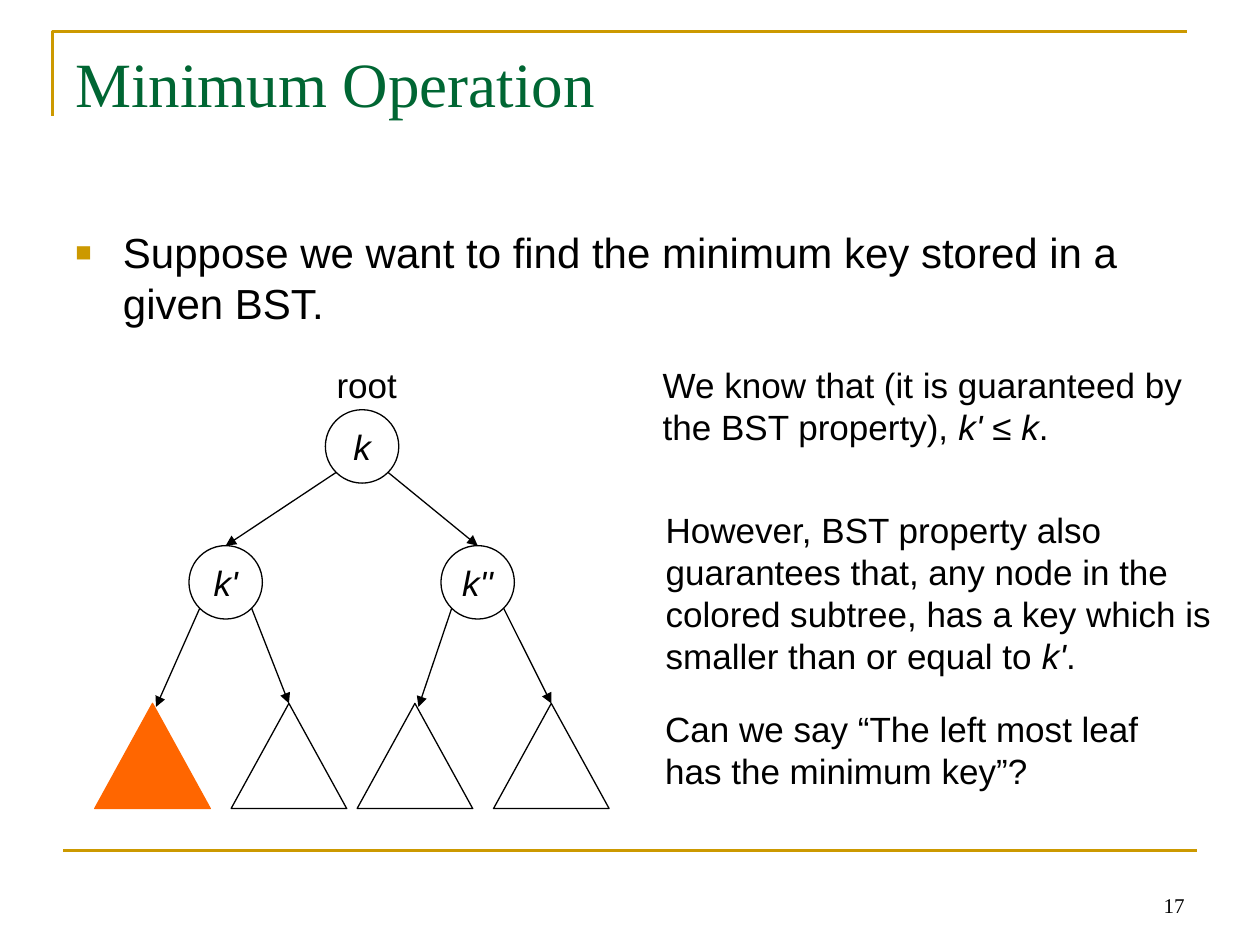
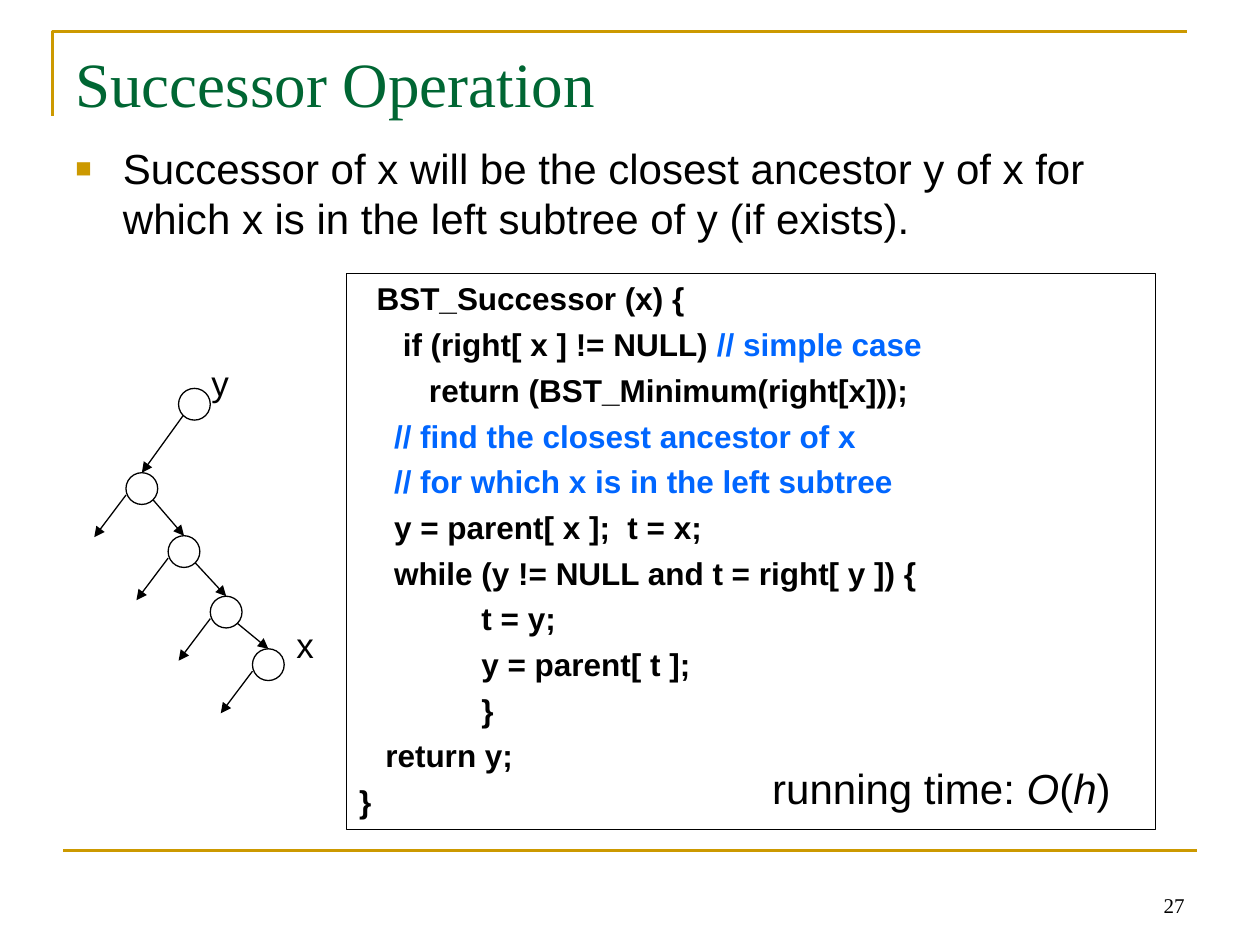
from lxml import etree
from pptx import Presentation
from pptx import util as u
from pptx.dml.color import RGBColor
from pptx.enum import shapes, text
from pptx.oxml import ns

HUES = {
    "ink": "000000",
    "gold": "CC9900",
    "green": "006633",
    "orange": "FF6600",
    "blue": "0066FF",
}
SANS, SERIF = "Arial", "Times New Roman"
LEFT, MID, RIGHT = text.PP_ALIGN.LEFT, text.PP_ALIGN.CENTER, text.PP_ALIGN.RIGHT
DIAG = 0.5 ** 0.5  # where a 45° ray meets a circle of radius 1


def cm(*vals):
    return [u.Cm(v) for v in vals]


def hue(name):
    return RGBColor.from_string(HUES[name])


def sub(parent, tag, **attrs):
    return etree.SubElement(parent, ns.qn(tag), **attrs)


class Deck:
    """Holds the style and the current slide; all lengths are centimetres."""

    def __init__(self):
        self.prs = Presentation()
        self.prs.slide_width, self.prs.slide_height = cm(25.4, 19.05)
        self.slide = None

    # Page frame, title and number
    def page(self, title, num):
        self.slide = self.prs.slides.add_slide(self.prs.slide_layouts[6])
        self.path_of([(1.06, 2.33), (1.06, 0.64), (23.92, 0.64)],
                     line="gold", width=1.5, close=False)
        self.line((1.27, 17.15), (24.13, 17.15), "gold", 1.5)
        self.text((18.2, 17.35, 5.93, 1.27), [num], 12, SERIF, align=RIGHT,
                  wrap=True, anchor=text.MSO_ANCHOR.BOTTOM)
        self.text((1.27, 0.77, 22.86, 3.18), [title], 36, SERIF, "green", wrap=True)

    # Outlines
    def paint(self, shape, fill=None, line="ink", width=0.75):
        shape.shadow.inherit = False
        if fill:
            shape.fill.solid()
            shape.fill.fore_color.rgb = hue(fill)
        else:
            shape.fill.background()
        shape.line.color.rgb = hue(line)
        shape.line.width = u.Pt(width)
        return shape

    def path_of(self, pts, fill=None, line="ink", width=0.75, close=True):
        pts = [cm(*pt) for pt in pts]
        pen = self.slide.shapes.build_freeform(*pts[0])
        pen.add_line_segments(pts[1:], close=close)
        return self.paint(pen.convert_to_shape(), fill, line, width)

    def line(self, start, end, color="ink", width=0.75, head=False, goal=None):
        link = self.slide.shapes.add_connector(
            shapes.MSO_CONNECTOR.STRAIGHT, *cm(*start, *end))
        link.line.color.rgb = hue(color)
        link.line.width = u.Pt(width)
        if head:
            sub(link.line._get_or_add_ln(), "a:tailEnd", type="triangle")
        sub(link._element.spPr, "a:effectLst")
        if goal is not None:
            link.end_connect(goal, 0)

    # Text: a row is a string or a list of (words, mark) with mark "", "i" or a hue
    def fill_in(self, frame, rows, size, font=SANS, color="ink", align=LEFT,
                bold=False, gap=0, hang=0):
        for n, row in enumerate(rows):
            para = frame.paragraphs[0] if n == 0 else frame.add_paragraph()
            para.alignment = align
            if hang:
                props = para._p.get_or_add_pPr()
                props.set("marL", str(u.Cm(hang)))
                props.set("indent", str(u.Cm(-hang)))
            if n and gap:
                para.space_before = u.Pt(gap)
            for words, mark in [(row, "")] if isinstance(row, str) else row:
                run = para.add_run()
                run.text = words
                run.font.name = font
                run.font.size = u.Pt(size)
                run.font.bold = bold
                run.font.italic = mark == "i"
                run.font.color.rgb = hue(mark if mark in HUES else color)

    def text(self, box, rows, size=20, font=SANS, color="ink", align=LEFT,
             wrap=False, anchor=text.MSO_ANCHOR.TOP, **style):
        frame = self.slide.shapes.add_textbox(*cm(*box)).text_frame
        frame.word_wrap = wrap
        frame.vertical_anchor = anchor
        self.fill_in(frame, rows, size, font, color, align, **style)
        return frame

    def bullet(self, top, words):
        frame = self.text((1.27, top, 22.86, 12.57), [words], 24, wrap=True, hang=0.96)
        props = frame.paragraphs[0]._p.get_or_add_pPr()
        sub(sub(props, "a:buClr"), "a:srgbClr", val=HUES["gold"])
        sub(props, "a:buSzPct", val="65000")
        sub(props, "a:buFont", typeface=SANS)
        sub(props, "a:buChar", char="■")

    def code(self, box, rows):
        shape = self.paint(self.slide.shapes.add_shape(
            shapes.MSO_SHAPE.RECTANGLE, *cm(*box)))
        shape.text_frame.word_wrap = True
        shape.text_frame.vertical_anchor = text.MSO_ANCHOR.TOP
        self.fill_in(shape.text_frame, rows, 18, bold=True, gap=4.5, hang=0.96)

    # Tree parts
    def node(self, left, top, size, key=""):
        ring = self.paint(self.slide.shapes.add_shape(
            shapes.MSO_SHAPE.OVAL, *cm(left, top, size, size)))
        if key:
            frame = ring.text_frame
            frame.word_wrap = False
            frame.vertical_anchor = text.MSO_ANCHOR.MIDDLE
            frame.margin_left = frame.margin_right = 0
            frame.margin_top = frame.margin_bottom = 0
            self.fill_in(frame, [[(key, "i")]], 20, align=MID)
        return ring

    def branch(self, ring, side, goal=None, end=None):
        """Arrow from the lower left (-1) or lower right (1) of a ring."""
        rad = ring.width.cm / 2
        start = (ring.left.cm + rad * (1 + side * DIAG),
                 ring.top.cm + rad * (1 + DIAG))
        self.line(start, end or start, head=True, goal=goal)

    def subtree(self, ring, side, left, fill=None):
        top, wide, high = 14.18, 2.33, 2.12
        apex = left + wide / 2
        self.path_of([(apex, top), (left, top + high), (left + wide, top + high)],
                     fill, fill or "ink")
        nudge = 0.07 if side < 0 else 0
        self.branch(ring, side, end=(apex + nudge, top + nudge))


def minimum(deck):
    deck.page("Minimum Operation", "17")
    deck.bullet(4.45, "Suppose we want to find the minimum key stored in a given BST.")

    # Tree
    deck.text((6.53, 7.2, 1.73, 1.12), ["root"], align=MID)
    root = deck.node(6.56, 8.26, 1.48, "k")
    kids = [deck.node(3.81, 11, 1.48, "k'"), deck.node(8.89, 11, 1.48, "k''")]
    for side, kid in zip((-1, 1), kids):
        deck.branch(root, side, goal=kid)
    for kid, left, fill in zip(kids, (1.91, 7.2), ("orange", None)):
        deck.subtree(kid, -1, left, fill)
        deck.subtree(kid, 1, left + 2.75)

    # Remarks
    deck.text((13.11, 7.2, 11.2, 1.96), [
        "We know that (it is guaranteed by",
        [("the BST property), ", ""), ("k' ", "i"), ("≤ ", ""), ("k", "i"), (".", "")],
    ])
    deck.text((13.17, 10.13, 11.7, 3.66), [
        "However, BST property also",
        "guarantees that, any node in the",
        "colored subtree, has a key which is",
        [("smaller than or equal to ", ""), ("k'", "i"), (".", "")],
    ])
    deck.text((13.16, 14.13, 10.2, 1.96), [
        "Can we say “The left most leaf",
        "has the minimum key”?",
    ])


def successor(deck):
    deck.page("Successor Operation", "27")
    deck.bullet(2.75, "Successor of x will be the closest ancestor y of x "
                      "for which x is in the left subtree of y (if exists).")

    # Path from y down to x
    size = 0.64
    head = deck.node(3.6, 7.83, size)
    chain = [deck.node(2.54 + 0.85 * n, top, size)
             for n, top in enumerate((9.53, 10.8, 12.02, 13.08))]
    deck.branch(head, -1, goal=chain[0])
    for ring, kid in zip(chain, chain[1:]):
        deck.branch(ring, 1, goal=kid)
    for ring in chain:
        left, top = ring.left.cm, ring.top.cm + 0.45
        deck.line((left, top), (left - 0.64, top + 0.85), head=True)
    deck.text((4.01, 7.16, 0.86, 1.12), ["y"], align=MID)
    deck.text((5.72, 12.45, 0.86, 1.12), ["x"], align=MID)

    # Code and cost
    deck.code((6.99, 5.51, 16.3, 11.22), [
        "  BST_Successor (x) {",
        [("     if (right[ x ] != NULL) ", ""), ("// simple case", "blue")],
        "        return (BST_Minimum(right[x]));",
        [("    // find the closest ancestor of x", "blue")],
        [("    // for which x is in the left subtree", "blue")],
        "    y = parent[ x ];  t = x;",
        "    while (y != NULL and t = right[ y ]) {",
        "              t = y;",
        "              y = parent[ t ];",
        "              }",
        "   return y;",
        "}",
    ])
    deck.text((14.98, 15.24, 8, 1.27), [[
        ("running time: ", ""), ("O", "i"), ("(", ""), ("h", "i"), (")", ""),
    ]], 24, align=MID)


def main():
    deck = Deck()
    minimum(deck)
    successor(deck)
    deck.prs.save("out.pptx")


if __name__ == "__main__":
    main()
